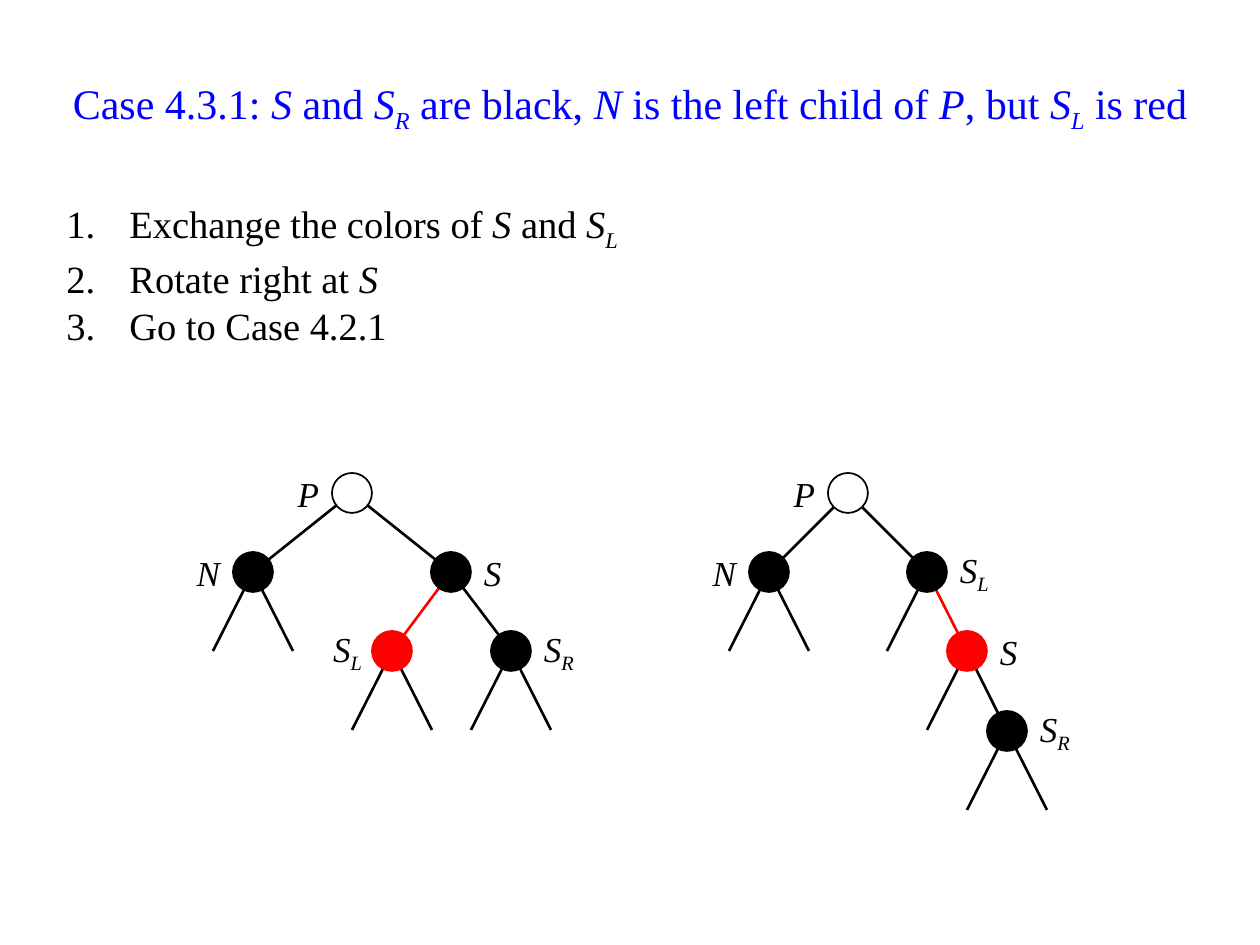
"""Build a slide on case 4.3.1 of red-black tree deletion."""
from typing import NamedTuple

from lxml.etree import SubElement
from pptx import Presentation
from pptx.dml.color import RGBColor
from pptx.enum.shapes import MSO_CONNECTOR as Connector, MSO_SHAPE as Shape
from pptx.enum.text import MSO_ANCHOR as Anchor, MSO_AUTO_SIZE as AutoSize, PP_ALIGN as Align
from pptx.oxml.ns import qn
from pptx.util import Emu, Pt

PX = 914400 / 126
FONT = "Times New Roman"
BLACK, RED, WHITE, BLUE = "000000", "FF0000", "FFFFFF", "0000FF"
RADIUS, LEG, LEVEL = 20, 40, 79
LABEL_WIDTH, LABEL_INSET, SUB_INSET = 60, 13, 10


class Span(NamedTuple):
    text: str
    italic: bool = False
    sub: bool = False


class Node(NamedTuple):
    x: int
    y: int
    fill: str
    label: list[Span]
    label_left: bool = False


class Edge(NamedTuple):
    start: Node
    end: Node
    color: str = BLACK


class Tree(NamedTuple):
    nodes: list[Node]
    edges: list[Edge]
    legs: list[tuple[Node, int]]


def px(length: float) -> Emu:
    """Turn pixels into EMU."""
    return Emu(round(length * PX))


def rgb(value: str) -> RGBColor:
    """Turn a hex string into a colour."""
    return RGBColor.from_string(value)


def write(para, spans: list[Span], size: int, color: str = BLACK) -> None:
    """Fill a paragraph with formatted spans."""
    for span in spans:
        run = para.add_run()
        run.text = span.text
        run.font.name = FONT
        run.font.size = Pt(size)
        run.font.italic = span.italic
        run.font.color.rgb = rgb(color)
        if span.sub:
            run._r.get_or_add_rPr().set("baseline", "-25000")


def add_title(page, spans: list[Span]) -> None:
    """Place and fill the title placeholder."""
    box = page.shapes.title
    box.left, box.top, box.width, box.height = px(35), px(37), px(1190), px(138)
    frame = box.text_frame
    frame.auto_size = AutoSize.NONE
    frame.word_wrap = True
    frame.vertical_anchor = Anchor.MIDDLE
    para = frame.paragraphs[0]
    para.alignment = Align.CENTER
    para.space_before = Pt(4.8)
    write(para, spans, 24, BLUE)


def add_steps(page, steps: list[list[Span]]) -> None:
    """Add the numbered list of steps."""
    frame = page.shapes.add_textbox(px(54), px(195), px(1150), px(159)).text_frame
    frame.word_wrap = True
    frame.vertical_anchor = Anchor.MIDDLE
    for index, spans in enumerate(steps):
        para = frame.add_paragraph() if index else frame.paragraphs[0]
        para.space_before = Pt(1)
        props = para._p.get_or_add_pPr()
        props.set("marL", str(px(63)))
        props.set("indent", str(px(-63)))
        SubElement(props, qn("a:buFont"), typeface=FONT)
        SubElement(props, qn("a:buAutoNum"), type="arabicPeriod")
        write(para, spans, 22)


def add_line(page, x1: int, y1: int, x2: int, y2: int, color: str = BLACK) -> None:
    """Draw one straight tree edge."""
    line = page.shapes.add_connector(Connector.STRAIGHT, px(x1), px(y1), px(x2), px(y2))
    line.line.color.rgb = rgb(color)
    line.line.width = Pt(1.5)
    SubElement(line._element.spPr, qn("a:effectLst"))


def add_node(page, node: Node) -> None:
    """Draw a node circle with its label beside it."""
    circle = page.shapes.add_shape(
        Shape.OVAL, px(node.x - RADIUS), px(node.y - RADIUS), px(2 * RADIUS), px(2 * RADIUS))
    circle.shadow.inherit = False
    circle.fill.solid()
    circle.fill.fore_color.rgb = rgb(node.fill)
    circle.line.color.rgb = rgb(BLACK if node.fill == WHITE else node.fill)
    circle.line.width = Pt(1)

    left = node.x - RADIUS - LABEL_WIDTH if node.label_left else node.x + RADIUS
    box = page.shapes.add_textbox(px(left), px(node.y - LEVEL / 2), px(LABEL_WIDTH), px(LEVEL))
    frame = box.text_frame
    frame.word_wrap = True
    frame.vertical_anchor = Anchor.MIDDLE
    frame.margin_left = px(LABEL_INSET)
    frame.margin_right = px(SUB_INSET if len(node.label) > 1 else LABEL_INSET)
    para = frame.paragraphs[0]
    para.alignment = Align.RIGHT if node.label_left else Align.LEFT
    write(para, node.label, 20)


def add_tree(page, tree: Tree) -> None:
    """Draw the edges and open legs, then the nodes above them."""
    for edge in tree.edges:
        add_line(page, edge.start.x, edge.start.y, edge.end.x, edge.end.y, edge.color)
    for node, side in tree.legs:
        add_line(page, node.x, node.y, node.x + side * LEG, node.y + LEVEL)
    for node in tree.nodes:
        add_node(page, node)


def both_legs(*nodes: Node) -> list[tuple[Node, int]]:
    """Give each node an open leg on either side."""
    return [(node, side) for node in nodes for side in (-1, 1)]


P, N, S = (Span(name, italic=True) for name in "PNS")
S_LEFT = [S, Span("L", italic=True, sub=True)]
S_RIGHT = [S, Span("R", italic=True, sub=True)]


def tree_before() -> Tree:
    """Describe the tree before the rotation."""
    parent = Node(352, 493, WHITE, [P], True)
    node = Node(253, 572, BLACK, [N], True)
    sibling = Node(451, 572, BLACK, [S])
    near = Node(392, 651, RED, S_LEFT, True)
    far = Node(511, 651, BLACK, S_RIGHT)
    edges = [Edge(parent, node), Edge(parent, sibling),
             Edge(sibling, near, RED), Edge(sibling, far)]
    return Tree([parent, node, sibling, near, far], edges, both_legs(node, near, far))


def tree_after() -> Tree:
    """Describe the tree after the rotation."""
    parent = Node(848, 493, WHITE, [P], True)
    node = Node(769, 572, BLACK, [N], True)
    near = Node(927, 572, BLACK, S_LEFT)
    sibling = Node(967, 651, RED, [S])
    far = Node(1007, 731, BLACK, S_RIGHT)
    edges = [Edge(parent, node), Edge(parent, near),
             Edge(near, sibling, RED), Edge(sibling, far)]
    legs = both_legs(node, far) + [(near, -1), (sibling, -1)]
    return Tree([parent, node, near, sibling, far], edges, legs)


def main() -> None:
    """Build and save the deck."""
    deck = Presentation()
    deck.slide_width, deck.slide_height = px(1260), px(945)
    page = deck.slides.add_slide(deck.slide_layouts[5])
    add_title(page, [Span("Case 4.3.1: "), S, Span(" and "), *S_RIGHT, Span(" are black, "), N,
                     Span(" is the left child of "), P, Span(", but "), *S_LEFT,
                     Span(" is red")])
    add_steps(page, [[Span("Exchange the colors of "), S, Span(" and "), *S_LEFT],
                     [Span("Rotate right at "), S],
                     [Span("Go to Case 4.2.1")]])
    for tree in (tree_before(), tree_after()):
        add_tree(page, tree)
    deck.save("out.pptx")


if __name__ == "__main__":
    main()
